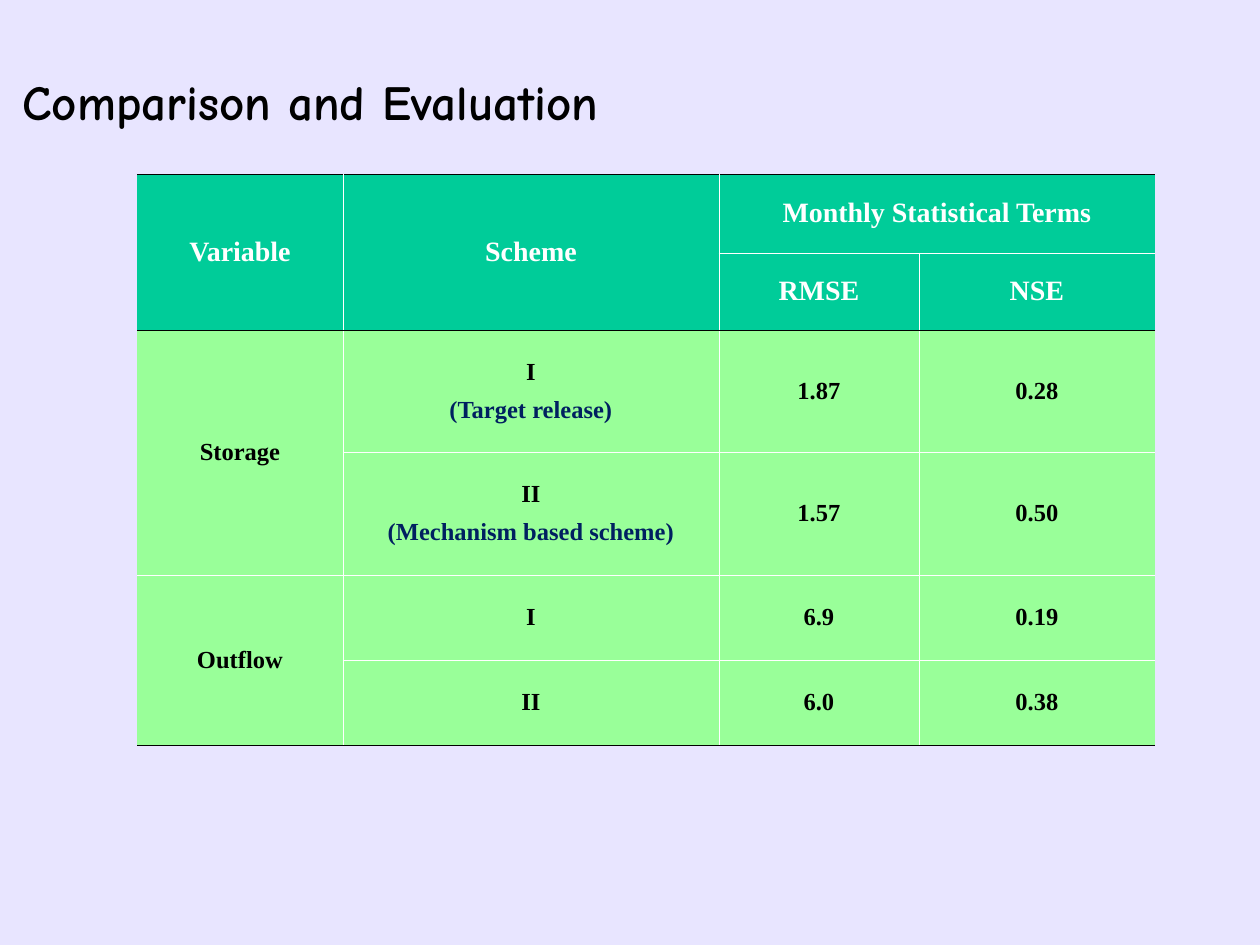
import dataclasses

import pptx
import pptx.dml.color
import pptx.enum.text
import pptx.util
from lxml import etree

ALIGN = pptx.enum.text.PP_ALIGN
MIDDLE = pptx.enum.text.MSO_ANCHOR.MIDDLE
NS = "http://schemas.openxmlformats.org/drawingml/2006/main"


@dataclasses.dataclass(frozen=True)
class Theme:
    back: str = "E8E5FF"
    head: str = "00CC99"
    body: str = "99FF99"
    ink: str = "000000"
    pale: str = "FFFFFF"
    note: str = "002060"
    title_font: str = "Comic Neue"
    table_font: str = "Times New Roman"
    title_size: int = 28
    head_size: int = 16
    body_size: int = 14
    gap: int = 6
    rule: float = 0.45


def px(count):
    return pptx.util.Emu(round(count * 914400 / 126))


def rgb(code):
    return pptx.dml.color.RGBColor.from_string(code)


def write(frame, text, *, font, size, color, note=None,
          align=ALIGN.CENTER, gap=0):
    """Write lines of bold text; lines after the first take the note colour."""
    frame.word_wrap = True
    for i, line in enumerate(text.split("\n")):
        para = frame.add_paragraph() if i else frame.paragraphs[0]
        para.alignment = align
        para.space_before = pptx.util.Pt(gap if i else 0)
        run = para.add_run()
        run.text = line
        run.font.name = font
        run.font.size = pptx.util.Pt(size)
        run.font.bold = True
        run.font.color.rgb = rgb(note if i and note else color)


class Page:
    def __init__(self, deck, theme):
        self.theme = theme
        self.slide = deck.slides.add_slide(deck.slide_layouts[5])
        fill = self.slide.background.fill
        fill.solid()
        fill.fore_color.rgb = rgb(theme.back)

    def title(self, text, left, top, width, height):
        look = self.theme
        shape = self.slide.shapes.title
        shape.left, shape.top = px(left), px(top)
        shape.width, shape.height = px(width), px(height)
        shape.text_frame.vertical_anchor = MIDDLE
        write(shape.text_frame, text, font=look.title_font,
              size=look.title_size, color=look.ink, align=ALIGN.LEFT)

    def edge(self, cell, side, color):
        """Draw one cell border, or none when no colour is given."""
        props = cell._tc.get_or_add_tcPr()
        line = etree.SubElement(props, f"{{{NS}}}ln{side}")
        line.set("w", str(pptx.util.Pt(self.theme.rule)))
        if color:
            fill = etree.SubElement(line, f"{{{NS}}}solidFill")
            etree.SubElement(fill, f"{{{NS}}}srgbClr").set("val", color)
        else:
            etree.SubElement(line, f"{{{NS}}}noFill")

    def table(self, rows, spans, heads, left, top, widths, heights):
        look = self.theme
        grid = self.slide.shapes.add_table(
            len(heights), len(widths), px(left), px(top),
            px(sum(widths)), px(sum(heights))).table
        grid.first_row = grid.horz_banding = False
        for col, width in zip(grid.columns, widths):
            col.width = px(width)
        for row, height in zip(grid.rows, heights):
            row.height = px(height)
        for first, last in spans:
            grid.cell(*first).merge(grid.cell(*last))

        # Dark rules frame the head and the body; all inner rules are pale
        dark = {0, heads, len(heights)}
        for r, row in enumerate(rows):
            for c, text in enumerate(row):
                cell = grid.cell(r, c)
                end = r + (cell.span_height if cell.is_merge_origin else 1)
                stop = c + (cell.span_width if cell.is_merge_origin else 1)
                self.edge(cell, "L", look.pale if c else None)
                self.edge(cell, "R", look.pale if stop < len(widths) else None)
                self.edge(cell, "T", look.ink if r in dark else look.pale)
                self.edge(cell, "B", look.ink if end in dark else look.pale)
                top_part = r < heads
                cell.fill.solid()
                cell.fill.fore_color.rgb = rgb(
                    look.head if top_part else look.body)
                cell.vertical_anchor = MIDDLE
                if text:
                    write(cell.text_frame, text, font=look.table_font,
                          size=look.head_size if top_part else look.body_size,
                          color=look.pale if top_part else look.ink,
                          note=look.note, gap=look.gap)


def main():
    deck = pptx.Presentation()
    deck.slide_width, deck.slide_height = px(1260), px(945)
    page = Page(deck, Theme())

    # Score table; None marks a cell covered by a span
    rows = [
        ["Variable", "Scheme", "Monthly Statistical Terms", None],
        [None, None, "RMSE", "NSE"],
        ["Storage", "I\n(Target release)", "1.87", "0.28"],
        [None, "II\n(Mechanism based scheme)", "1.57", "0.50"],
        ["Outflow", "I", "6.9", "0.19"],
        [None, "II", "6.0", "0.38"],
    ]
    spans = [((0, 0), (1, 0)), ((0, 1), (1, 1)), ((0, 2), (0, 3)),
             ((2, 0), (3, 0)), ((4, 0), (5, 0))]
    page.table(rows, spans, heads=2, left=137, top=174,
               widths=[206, 376, 200, 236],
               heights=[79, 77, 122, 123, 85, 85])

    # Heading
    page.title("Comparison and Evaluation", 10, 53, 725, 95)

    deck.save("out.pptx")


if __name__ == "__main__":
    main()
